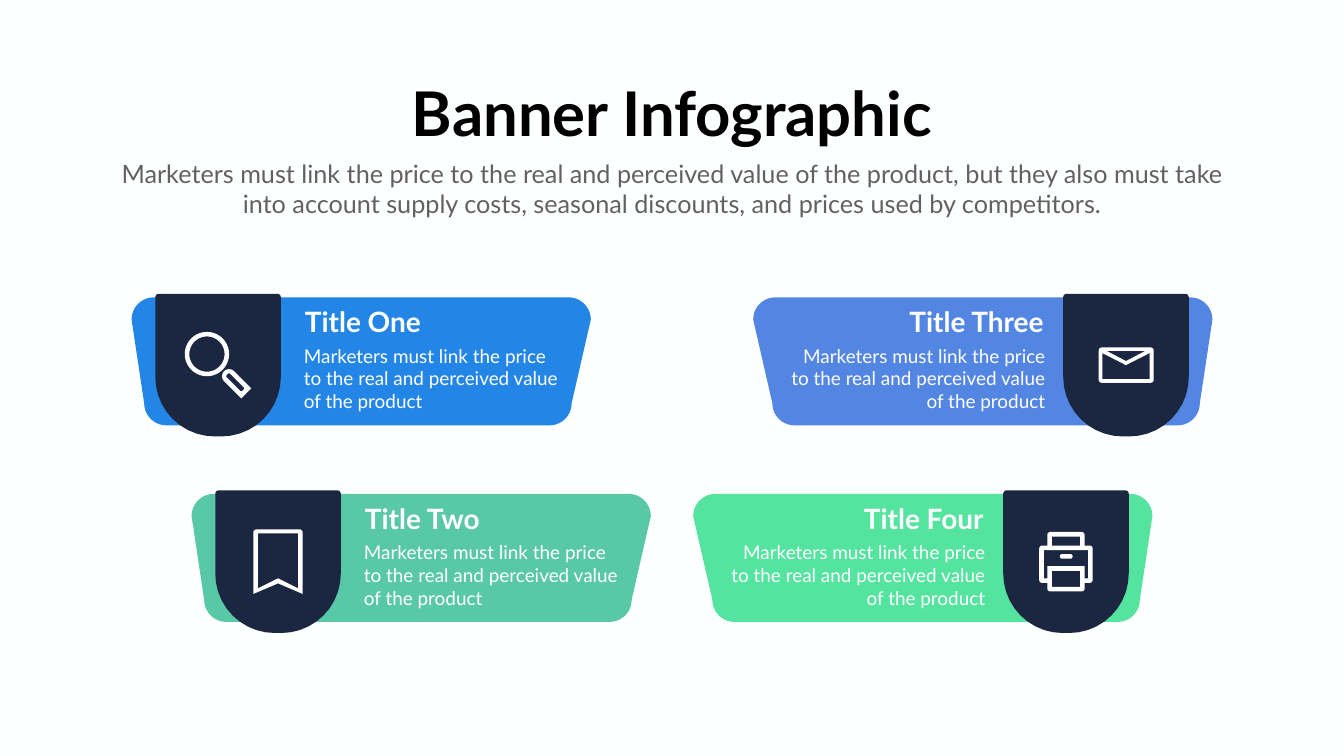
from math import cos, radians, sin

from pptx import Presentation
from pptx.dml.color import RGBColor
from pptx.enum.text import MSO_AUTO_SIZE, PP_ALIGN
from pptx.util import Inches, Pt

LEFT, CENTER, RIGHT = PP_ALIGN.LEFT, PP_ALIGN.CENTER, PP_ALIGN.RIGHT
FIT_TEXT = MSO_AUTO_SIZE.SHAPE_TO_FIT_TEXT
WIDTH, HEIGHT = 26.66, 15
FONT = "Lato"
NAVY, WHITE = "1B2641", "FFFFFF"
FIRST_LEFT, FIRST_TOP = 2.61, 5.9
ROW_SHIFT, ROW_PITCH = 1.19, 3.9
BANNER_WIDTH, BANNER_HEIGHT, BANNER_RADIUS = 9.11, 2.54, 0.44
SHIELD_WIDTH, SHIELD_HEIGHT = 2.49, 2.83
TOP_LEFT, TOP_RIGHT, BOTTOM_RIGHT, BOTTOM_LEFT = range(4)
SUBTITLE = ("Marketers must link the price to the real and perceived value of the product, "
            "but they also must take into account supply costs, seasonal discounts, "
            "and prices used by competitors.")
BODY = "Marketers must link the price to the real and perceived value of the product"


def color(value):
    return RGBColor.from_string(value)


def corner(x, y, radius, side, steps=10):
    center_x = x + (radius if side in (TOP_LEFT, BOTTOM_LEFT) else -radius)
    center_y = y + (radius if side in (TOP_LEFT, TOP_RIGHT) else -radius)
    angles = [radians(180 + 90 * (side + step / steps)) for step in range(steps + 1)]
    return [(center_x + radius * cos(a), center_y + radius * sin(a)) for a in angles]


def block(left, top, width, height, upper=0, lower=None, lean_left=0, lean_right=0):
    lower = upper if lower is None else lower
    right, bottom = left + width, top + height
    corners = [(left, top, upper), (right, top, upper),
               (right - lean_right, bottom, lower), (left + lean_left, bottom, lower)]
    outline = []
    for side, (x, y, radius) in enumerate(corners):
        outline += corner(x, y, radius, side) if radius else [(x, y)]
    return outline


def disc(x, y, radius):
    return block(x - radius, y - radius, 2 * radius, 2 * radius, radius)


def moved(outline, x, y):
    return [(px + x, py + y) for px, py in outline]


def turned(outline, degrees):
    c, s = cos(radians(degrees)), sin(radians(degrees))
    return [(x * c - y * s, x * s + y * c) for x, y in outline]


def mirrored(outline):
    return [(WIDTH - x, y) for x, y in outline]


def magnifier():
    ring = [disc(-0.22, -0.22, 0.44), disc(-0.22, -0.22, 0.35)]
    tip = [(0.31, -0.14), (0.31, 0.14)]
    grip = corner(-0.31, 0.14, 0.14, BOTTOM_LEFT) + corner(-0.31, -0.14, 0.14, TOP_LEFT) + tip
    slot = block(-0.22, -0.05, 0.44, 0.1, 0.03)
    handle = [moved(turned(part, 45), 0.34, 0.34) for part in (grip, slot)]
    return [handle, ring]


def bookmark():
    outer = (corner(-0.49, -0.64, 0.06, TOP_LEFT) + corner(0.49, -0.64, 0.06, TOP_RIGHT)
             + [(0.49, 0.64), (0, 0.43), (-0.49, 0.64)])
    inner = [(-0.4, -0.56), (0.4, -0.56), (0.4, 0.53), (0, 0.33), (-0.4, 0.53)]
    return [[outer, inner]]


def envelope():
    body = [(-0.47, 0.28), (-0.47, -0.24), (0, 0), (0.47, -0.24), (0.47, 0.28)]
    flap = [(0, -0.08), (-0.38, -0.28), (0.38, -0.28)]
    return [[block(-0.54, -0.35, 1.09, 0.7, 0.06), body, flap]]


def printer():
    outer = (corner(-0.37, -0.59, 0.06, TOP_LEFT) + corner(0.37, -0.59, 0.06, TOP_RIGHT)
             + [(0.37, -0.32)] + corner(0.53, -0.32, 0.06, TOP_RIGHT)
             + corner(0.53, 0.42, 0.06, BOTTOM_RIGHT) + [(0.37, 0.42)]
             + corner(0.37, 0.59, 0.06, BOTTOM_RIGHT) + corner(-0.37, 0.59, 0.06, BOTTOM_LEFT)
             + [(-0.37, 0.42)] + corner(-0.53, 0.42, 0.06, BOTTOM_LEFT)
             + corner(-0.53, -0.32, 0.06, TOP_LEFT) + [(-0.37, -0.32)])
    body = [(-0.44, -0.23), (0.44, -0.23), (0.44, 0.33), (0.37, 0.33),
            (0.37, 0.09), (-0.37, 0.09), (-0.37, 0.33), (-0.44, 0.33)]
    sheets = [block(-0.28, 0.18, 0.56, 0.32), block(-0.28, -0.5, 0.56, 0.18)]
    return [[outer, body, *sheets], [block(-0.12, -0.15, 0.25, 0.09, 0.04)]]


def add_outline(page, outlines, fill):
    scaled = [[(Inches(x), Inches(y)) for x, y in outline] for outline in outlines]
    builder = page.shapes.build_freeform(*scaled[0][0], scale=1.0)
    for index, points in enumerate(scaled):
        if index:
            builder.move_to(*points[0])
        builder.add_line_segments(points[1:], close=True)
    shape = builder.convert_to_shape()
    shape.shadow.inherit = False
    shape.fill.solid()
    shape.fill.fore_color.rgb = color(fill)
    shape.line.fill.background()


def add_text(page, area, text, size, ink, align, bold=False, wrap=True):
    box = page.shapes.add_textbox(*map(Inches, area))
    frame = box.text_frame
    frame.word_wrap = wrap
    frame.auto_size = FIT_TEXT
    frame.text = text
    para = frame.paragraphs[0]
    para.alignment = align
    font = para.runs[0].font
    font.name, font.size, font.bold = FONT, Pt(size), bold
    font.color.rgb = color(ink)


def add_banner(page, row, flipped, title, fill, icon):
    left = FIRST_LEFT + row * ROW_SHIFT
    top = FIRST_TOP + row * ROW_PITCH
    shield_left, shield_top = left + 0.47, top - 0.07
    banner = block(left, top, BANNER_WIDTH, BANNER_HEIGHT, BANNER_RADIUS,
                   lean_left=0.25, lean_right=0.38)
    shield = block(shield_left, shield_top, SHIELD_WIDTH, SHIELD_HEIGHT, 0.07, 1.18)
    for outline, paint in ((banner, fill), (shield, NAVY)):
        add_outline(page, [mirrored(outline) if flipped else outline], paint)

    middle_x = shield_left + SHIELD_WIDTH / 2
    middle_x = WIDTH - middle_x if flipped else middle_x
    middle_y = shield_top + SHIELD_HEIGHT / 2
    for outlines in icon:
        add_outline(page, [moved(part, middle_x, middle_y) for part in outlines], WHITE)

    title_width, body_width = (3.11, 5.27) if flipped else (2.57, 5.27)
    title_left, body_left = left + 3.34, left + 3.32
    if flipped:
        title_left = WIDTH - left - 3.25 - title_width
        body_left = WIDTH - left - 3.22 - body_width
    align = RIGHT if flipped else LEFT
    add_text(page, (title_left, top + 0.1, title_width, 0.77), title, 40, WHITE, align, bold=True)
    add_text(page, (body_left, top + 0.88, body_width, 1.46), BODY, 27, WHITE, align)


def main():
    deck = Presentation()
    deck.slide_width, deck.slide_height = Inches(WIDTH), Inches(HEIGHT)
    page = deck.slides.add_slide(deck.slide_layouts[6])
    page.background.fill.solid()
    page.background.fill.fore_color.rgb = color("FEFFFF")
    banners = [
        (0, False, "Title One", "2386E7", magnifier()),
        (1, False, "Title Two", "59C8A6", bookmark()),
        (0, True, "Title Three", "5386E3", envelope()),
        (1, True, "Title Four", "54E49F", printer()),
    ]
    for banner in banners:
        add_banner(page, *banner)
    headings = [
        (10.78, 1.43, 1.58, "Banner Infographic", 88, "000000", True, False),
        (22.21, 3.09, 1.31, SUBTITLE, 36, "616161", False, True),
    ]
    for width, top, height, text, size, ink, bold, wrap in headings:
        area = ((WIDTH - width) / 2, top, width, height)
        add_text(page, area, text, size, ink, CENTER, bold, wrap)
    deck.save("out.pptx")


main()
